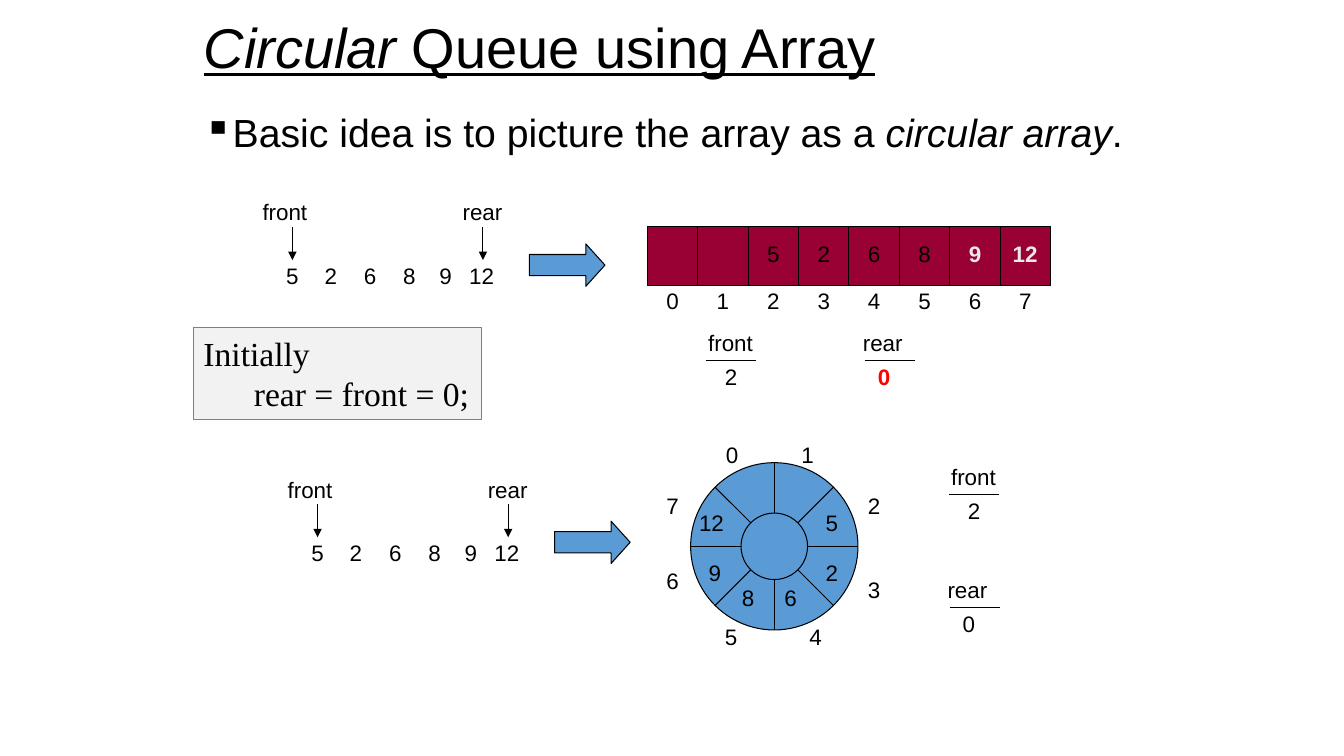
import math

from pptx import Presentation
from pptx.dml.color import RGBColor
from pptx.enum import shapes, text
from pptx.oxml import ns
from pptx.util import Inches, Pt
from lxml import etree

BLACK = RGBColor(0x00, 0x00, 0x00)
BLUE = RGBColor(0x5B, 0x9B, 0xD5)
MAROON = RGBColor(0x99, 0x00, 0x33)
RED = RGBColor(0xFF, 0x00, 0x00)
PALE = RGBColor(0xEB, 0xEA, 0xEA)
LIGHT_GRAY = RGBColor(0xF2, 0xF2, 0xF2)
GRAY = RGBColor(0x7F, 0x7F, 0x7F)

QUEUE = ["5", "2", "6", "8", "9", "12"]
QUEUE_CENTRES = [0, 0.38, 0.77, 1.16, 1.52, 1.88]
LABEL_WIDTHS = {"front": 0.65, "rear": 0.6, "12": 0.45}
CELL = 0.5
SLOTS = 8
FIRST_USED = 2

# Centre x and top of each label of the ring
RING_INDEXES = [(7.26, 4.33), (8.01, 4.33), (8.67, 4.83), (8.67, 5.67),
                (8.09, 6.13), (7.25, 6.13), (6.67, 5.58), (6.67, 4.83)]
RING_VALUES = [(8.25, 5), (8.25, 5.5), (7.84, 5.75),
               (7.42, 5.75), (7.09, 5.5), (7.06, 5)]


def set_font(para, size, color=BLACK, name="Arial", bold=False):
    para.font.size = Pt(size)
    para.font.name = name
    para.font.color.rgb = color
    para.font.bold = bold


def add_spans(para, spans):
    """Add (wording, italic) runs to a paragraph."""
    for wording, italic in spans:
        span = para.add_run()
        span.text = wording
        span.font.italic = italic


def add_label(page, wording, centre, top, color=BLACK, bold=False):
    width = LABEL_WIDTHS.get(wording, 0.32)
    box = page.shapes.add_textbox(Inches(centre - width / 2), Inches(top),
                                  Inches(width), Inches(0.37))
    box.text_frame.word_wrap = False
    para = box.text_frame.paragraphs[0]
    para.text = wording
    set_font(para, 16, color, bold=bold)


def add_line(page, x1, y1, x2, y2, arrow=False):
    line = page.shapes.add_connector(
        shapes.MSO_CONNECTOR.STRAIGHT,
        Inches(x1), Inches(y1), Inches(x2), Inches(y2))
    line.line.color.rgb = BLACK
    line.line.width = Pt(0.75)
    if arrow:
        etree.SubElement(line.line._get_or_add_ln(), ns.qn("a:tailEnd"),
                         type="triangle")
    etree.SubElement(line._element.spPr, ns.qn("a:effectLst"))
    return line


def add_figure(page, kind, left, top, width, height, fill, outline=BLACK):
    figure = page.shapes.add_shape(kind, Inches(left), Inches(top),
                                   Inches(width), Inches(height))
    figure.shadow.inherit = False
    figure.fill.solid()
    figure.fill.fore_color.rgb = fill
    figure.line.color.rgb = outline
    figure.line.width = Pt(0.75)
    return figure


def add_title(page):
    title = page.shapes.title
    title.left, title.top = Inches(1.92), Inches(0)
    title.width, title.height = Inches(9.58), Inches(1)
    title.text_frame.vertical_anchor = text.MSO_ANCHOR.MIDDLE
    para = title.text_frame.paragraphs[0]
    para.alignment = text.PP_ALIGN.LEFT
    para.line_spacing = 0.9
    set_font(para, 40)
    para.font.underline = True
    add_spans(para, [("Circular ", True), ("Queue using Array", False)])


def add_idea(page):
    box = page.shapes.add_textbox(Inches(1.92), Inches(1.08),
                                  Inches(9.58), Inches(1.33))
    box.text_frame.word_wrap = True
    para = box.text_frame.paragraphs[0]
    para.line_spacing = 0.9
    set_font(para, 28)
    add_spans(para, [("Basic idea is to picture the array as a ", False),
                     ("circular array", True), (".", False)])
    props = para._p.get_or_add_pPr()
    props.set("marL", str(Inches(0.25)))
    props.set("indent", str(Inches(-0.25)))
    bullet = etree.Element(ns.qn("a:buChar"), char="▪")
    props.find(ns.qn("a:lnSpc")).addnext(bullet)


def add_queue(page, first, top):
    """Queue items with front and rear arrows, then a block arrow."""
    last = first + QUEUE_CENTRES[-1]
    add_label(page, "front", first - 0.07, top)
    add_label(page, "rear", last + 0.01, top)
    for x in (first, last + 0.01):
        add_line(page, x, top + 0.33, x, top + 0.66, arrow=True)
    for value, offset in zip(QUEUE, QUEUE_CENTRES):
        add_label(page, value, first + offset, top + 0.63)
    arrow = add_figure(page, shapes.MSO_SHAPE.RIGHT_ARROW,
                       first + 2.35, top + 0.5, 0.75, 0.42, BLUE)
    arrow.adjustments[1] = 0.45


def add_variable(page, name, value, centre, top, shift=0.0,
                 color=BLACK, bold=False):
    """A name over a rule over its value; shift moves the rule sideways."""
    add_label(page, name, centre, top)
    rule = centre + shift
    add_line(page, rule - 0.25, top + 0.36, rule + 0.25, top + 0.36)
    add_label(page, value, centre + shift / 8, top + 0.33, color, bold)


def add_array(page, left, top, height):
    bar = add_figure(page, shapes.MSO_SHAPE.RECTANGLE, left, top,
                     SLOTS * CELL, height, MAROON)
    for slot in range(1, SLOTS):
        x = left + slot * CELL
        divider = add_line(page, x, top, x, top + height)
        if slot == SLOTS // 2:
            divider.begin_connect(bar, 0)
            divider.end_connect(bar, 2)
    for slot in range(SLOTS):
        centre = left + (slot + 0.5) * CELL
        add_label(page, str(slot), centre, top + 0.55)
        if slot >= FIRST_USED:
            added = slot >= SLOTS - 2
            add_label(page, QUEUE[slot - FIRST_USED], centre, top + 0.08,
                      PALE if added else BLACK, added)


def add_ring(page, x, y, inner, outer):
    for radius in (outer, inner):
        add_figure(page, shapes.MSO_SHAPE.OVAL, x - radius, y - radius,
                   2 * radius, 2 * radius, BLUE)
    for slot in range(SLOTS):
        angle = 2 * math.pi * slot / SLOTS
        dx, dy = math.cos(angle), math.sin(angle)
        add_line(page, x + inner * dx, y + inner * dy,
                 x + outer * dx, y + outer * dy)
    for slot, (centre, top) in enumerate(RING_INDEXES):
        add_label(page, str(slot), centre, top)
    for value, (centre, top) in zip(QUEUE, RING_VALUES):
        add_label(page, value, centre, top)


def add_start_note(page):
    note = add_figure(page, shapes.MSO_SHAPE.RECTANGLE,
                      1.92, 3.25, 2.86, 0.91, LIGHT_GRAY, GRAY)
    frame = note.text_frame
    frame.word_wrap = False
    frame.vertical_anchor = text.MSO_ANCHOR.TOP
    frame.text = "Initially\nrear = front = 0;"
    for para in frame.paragraphs:
        para.alignment = text.PP_ALIGN.LEFT
        set_font(para, 24, name="Times New Roman")
    frame.paragraphs[1]._p.get_or_add_pPr().set("marL", str(Inches(0.5)))


def main():
    deck = Presentation()
    deck.slide_width, deck.slide_height = Inches(13.33), Inches(7.5)
    page = deck.slides.add_slide(deck.slide_layouts[5])
    add_title(page)
    add_idea(page)

    # Queue stored in a straight array
    add_queue(page, 2.9, 1.92)
    add_array(page, 6.42, 2.25, 0.58)
    add_variable(page, "front", "2", 7.25, 3.22)
    add_variable(page, "rear", "0", 8.76, 3.22, 0.07, RED, True)
    add_start_note(page)

    # Queue stored in a circular array
    add_queue(page, 3.15, 4.67)
    add_ring(page, 7.68, 5.42, 0.33, 0.83)
    add_variable(page, "front", "2", 9.66, 4.55)
    add_variable(page, "rear", "0", 9.6, 5.67, 0.07)

    deck.save("out.pptx")


if __name__ == "__main__":
    main()
